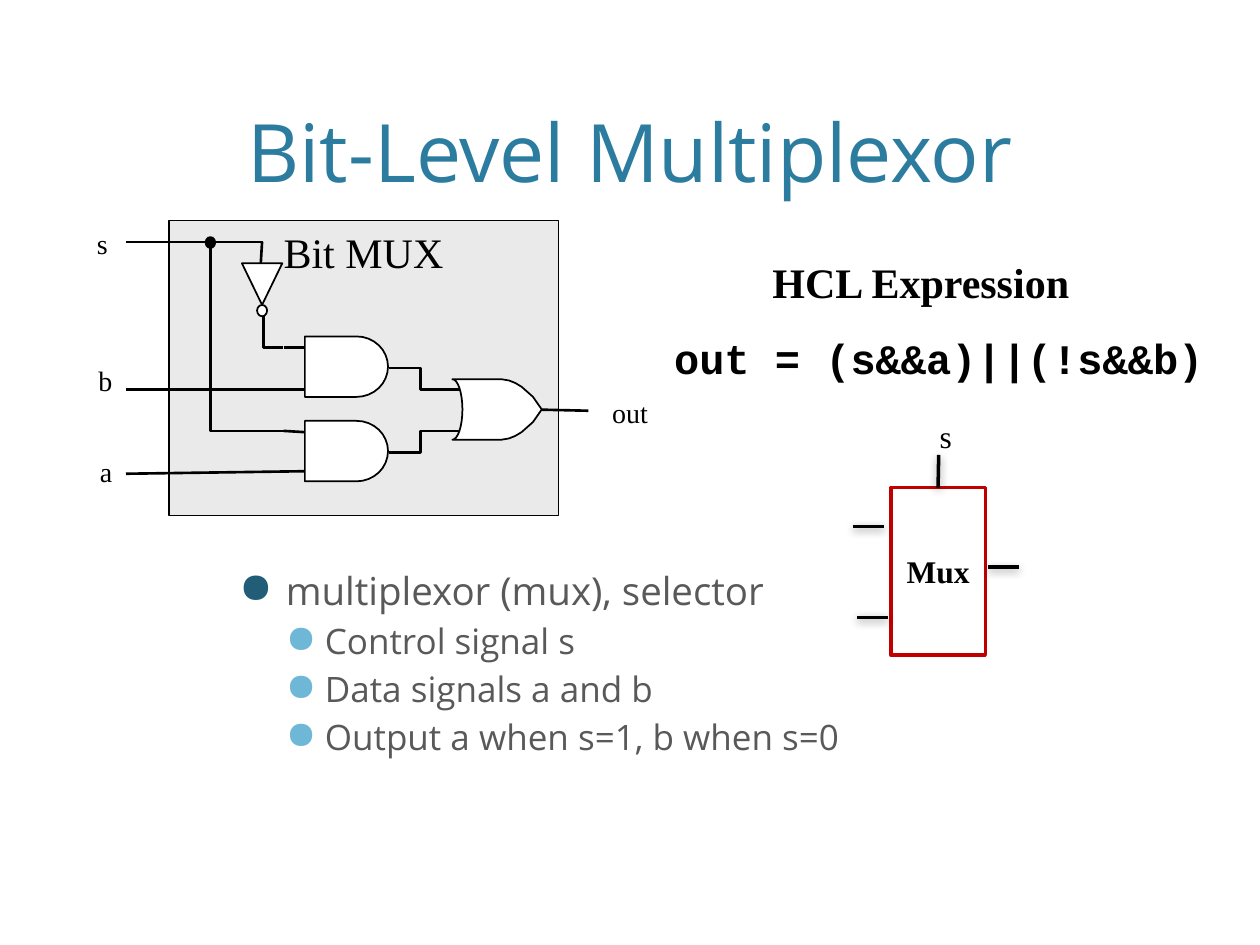
import math

import lxml.etree
import pptx
import pptx.dml.color
import pptx.enum.shapes
import pptx.enum.text
import pptx.oxml.ns
import pptx.util

Inches = pptx.util.Inches
Pt = pptx.util.Pt
SHAPE = pptx.enum.shapes.MSO_SHAPE
ALIGN = pptx.enum.text.PP_ALIGN
ANCHOR = pptx.enum.text.MSO_ANCHOR
SERIF = "Times New Roman"
SANS = "Open Sans"
BLACK = "000000"
WHITE = "FFFFFF"


def color(code):
    return pptx.dml.color.RGBColor.from_string(code)


def add_node(parent, tag, **attrs):
    node = lxml.etree.SubElement(parent, pptx.oxml.ns.qn(tag))
    for key, value in attrs.items():
        node.set(key, str(value))
    return node


def style_text(para, size, font=SERIF, code=BLACK, bold=False, align=ALIGN.LEFT):
    para.alignment = align
    for run in para.runs:
        run.font.size = Pt(size)
        run.font.name = font
        run.font.bold = bold
        run.font.color.rgb = color(code)


def style_shape(shape, fill, line=BLACK, width=1):
    shape.shadow.inherit = False
    if fill:
        shape.fill.solid()
        shape.fill.fore_color.rgb = color(fill)
    else:
        shape.fill.background()
    shape.line.color.rgb = color(line)
    shape.line.width = Pt(width)


def add_shape(slide, kind, box, fill, line=BLACK, width=1):
    shape = slide.shapes.add_shape(kind, *map(Inches, box))
    style_shape(shape, fill, line, width)
    return shape


def add_path(slide, points, fill=None, width=1.5):
    """Draw a closed outline if there is a fill, otherwise an open wire."""
    spots = [(Inches(x), Inches(y)) for x, y in points]
    pen = slide.shapes.build_freeform(*spots[0], scale=1.0)
    pen.add_line_segments(spots[1:], close=bool(fill))
    style_shape(pen.convert_to_shape(), fill, width=width)


def add_line(slide, start, end, width=1.5, shadow=False):
    kind = pptx.enum.shapes.MSO_CONNECTOR.STRAIGHT
    line = slide.shapes.add_connector(kind, *map(Inches, start + end))
    line.line.color.rgb = color(BLACK)
    line.line.width = Pt(width)
    effects = add_node(line._element.spPr, "a:effectLst")
    if shadow:
        outer = add_node(effects, "a:outerShdw", blurRad=Pt(5), dist=Pt(1.6),
                         dir=90 * 60000, rotWithShape=0)
        add_node(add_node(outer, "a:srgbClr", val=BLACK), "a:alpha", val=38000)
    return line


def add_label(slide, text, box, size, inset=0.1, wrap=False, **style):
    frame = slide.shapes.add_textbox(*map(Inches, box)).text_frame
    frame.word_wrap = wrap
    frame.margin_left = frame.margin_right = Inches(inset)
    frame.text = text
    style_text(frame.paragraphs[0], size, **style)


def add_title(slide, text):
    title = slide.shapes.title
    title.left, title.top, title.width, title.height = map(Inches, (0.6, 0.12, 8.8, 1.46))
    frame = title.text_frame
    frame.text = text
    frame.vertical_anchor = ANCHOR.BOTTOM
    frame.margin_bottom = 0
    style_text(frame.paragraphs[0], 46, SANS, "2C7C9F", align=ALIGN.CENTER)


def add_list(slide, items):
    frame = slide.shapes.add_textbox(*map(Inches, (1.42, 4.49, 6.68, 2.29))).text_frame
    frame.word_wrap = True
    frame.text = "\n".join(text for _, text in items)
    looks = {0: (22, 0.75, -0.37, "215D77"), 1: (20, 1.06, -0.31, "6FB7D7")}
    for para, (level, _) in zip(frame.paragraphs, items):
        size, margin, indent, dot = looks[level]
        para.level = level
        para.space_before = Pt(6)
        para.line_spacing = 0.9
        style_text(para, size, SANS, "595959")
        props = para._p.get_or_add_pPr()
        props.set("marL", str(Inches(margin)))
        props.set("indent", str(Inches(indent)))
        add_node(add_node(props, "a:buClr"), "a:srgbClr", val=dot)
        add_node(props, "a:buSzPct", val=110000)
        add_node(props, "a:buChar", char="●")


def arc(x, y, wide, high, steps=16):
    """Points of the right half of an ellipse, from top to bottom."""
    turns = [math.pi * (i / steps - 0.5) for i in range(steps + 1)]
    return [(x + wide * math.cos(t), y + high * math.sin(t)) for t in turns]


def add_and(slide, y):
    add_path(slide, [(2.42, y - 0.24), *arc(2.83, y, 0.25, 0.24), (2.42, y + 0.24)],
             WHITE, 1)


def add_or(slide, y):
    curve = [(3.59, 0.24), (3.91, 0.24), (3.98, 0.24), (4.04, 0.23),
             (4.09, 0.21), (4.14, 0.18), (4.23, 0.1), (4.3, 0)]
    upper = [(x, y - rise) for x, rise in curve]
    lower = [(x, y + rise) for x, rise in curve[-2::-1]]
    back = arc(3.59, y, 0.08, 0.24)[-2:0:-1]
    add_path(slide, upper + lower + back, WHITE, 1)


def draw_gates(slide):
    box = add_shape(slide, SHAPE.RECTANGLE, (1.34, 1.75, 3.09, 2.34), "EAEAEA", width=0.75)
    box.text_frame.text = "Bit MUX"
    box.text_frame.vertical_anchor = ANCHOR.TOP
    style_text(box.text_frame.paragraphs[0], 24, align=ALIGN.CENTER)

    for start, end in ((2.92, 3.09), (3.59, 3.42)):
        add_path(slide, [(3.09, start), (3.34, start), (3.34, end), (3.67, end)])
    add_path(slide, [(2.25, 3.42), (1.67, 3.42), (1.67, 1.92)])
    add_path(slide, [(2.25, 2.76), (2.09, 2.76), (2.09, 2.59)])
    wires = [
        ((4.24, 3.25), (4.67, 3.26)), ((2.09, 2.42), (2.09, 2.59)),
        ((2.08, 1.92), (2.07, 2.09)), ((2.25, 2.76), (2.42, 2.76)),
        ((1, 3.09), (2.42, 3.09)), ((2.25, 3.42), (2.42, 3.43)),
        ((1, 3.76), (2.42, 3.74)), ((1, 1.92), (2.09, 1.92)),
    ]
    for start, end in wires:
        add_line(slide, start, end)

    add_or(slide, 3.25)
    for y in (2.91, 3.58):
        add_and(slide, y)
    add_shape(slide, SHAPE.FLOWCHART_MERGE, (1.92, 2.09, 0.32, 0.33), WHITE)
    add_shape(slide, SHAPE.OVAL, (2.04, 2.42, 0.08, 0.09), WHITE)
    add_shape(slide, SHAPE.OVAL, (1.63, 1.88, 0.08, 0.09), BLACK, width=0.75)

    add_label(slide, "s", (0.67, 1.75, 0.29, 0.37), 16)
    add_label(slide, "b", (0.67, 2.84, 0.32, 0.37), 16, align=ALIGN.RIGHT)
    add_label(slide, "a", (0.69, 3.56, 0.3, 0.37), 16, align=ALIGN.RIGHT)
    add_label(slide, "out", (4.76, 3.09, 0.66, 0.37), 16, wrap=True)


def draw_mux(slide):
    mux = add_shape(slide, SHAPE.RECTANGLE, (7.07, 3.87, 0.75, 1.33), WHITE, "C00000", 2)
    mux.text_frame.text = "Mux"
    mux.text_frame.vertical_anchor = ANCHOR.MIDDLE
    style_text(mux.text_frame.paragraphs[0], 18, bold=True, align=ALIGN.CENTER)
    stem = add_line(slide, (7.45, 3.61), (7.45, 3.87), 2, shadow=True)
    stem.end_connect(mux, 0)
    for x, y in ((6.8, 4.9), (6.77, 4.18), (7.84, 4.5)):
        add_line(slide, (x, y), (x + 0.25, y), 2, shadow=True)
    add_label(slide, "s", (7.36, 3.26, 0.33, 0.4), 18, wrap=True)


def main():
    deck = pptx.Presentation()
    deck.slide_width, deck.slide_height = Inches(10), Inches(7.5)
    slide = deck.slides.add_slide(deck.slide_layouts[5])
    add_title(slide, "Bit-Level Multiplexor")
    add_list(slide, [
        (0, "multiplexor (mux), selector"),
        (1, "Control signal s"),
        (1, "Data signals a and b"),
        (1, "Output a when s=1, b when s=0"),
    ])
    draw_gates(slide)
    add_label(slide, "HCL Expression", (6.08, 1.99, 2.48, 0.51), 24, 0.05, bold=True)
    add_label(slide, "out = (s&&a)||(!s&&b)", (5.3, 2.59, 4.34, 0.51), 24, 0.05,
              font="Courier New", bold=True)
    draw_mux(slide)
    deck.save("out.pptx")


if __name__ == "__main__":
    main()
